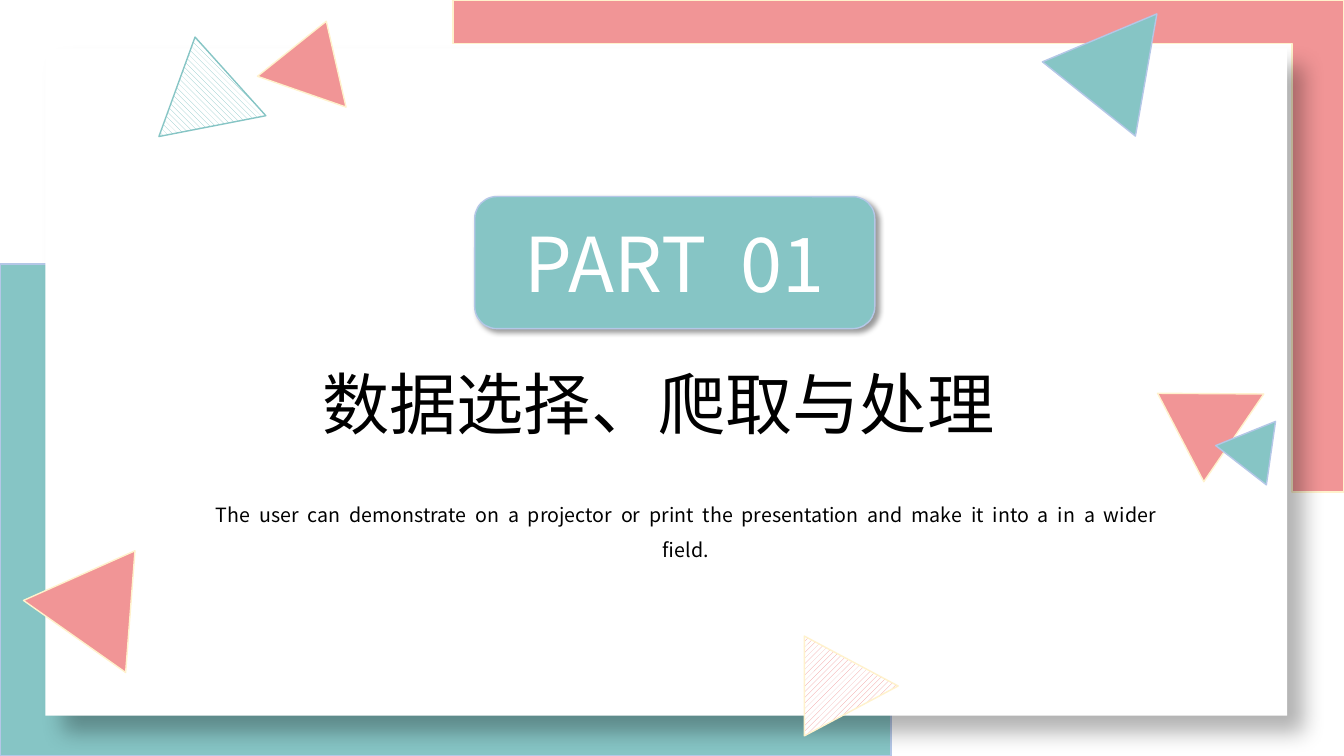
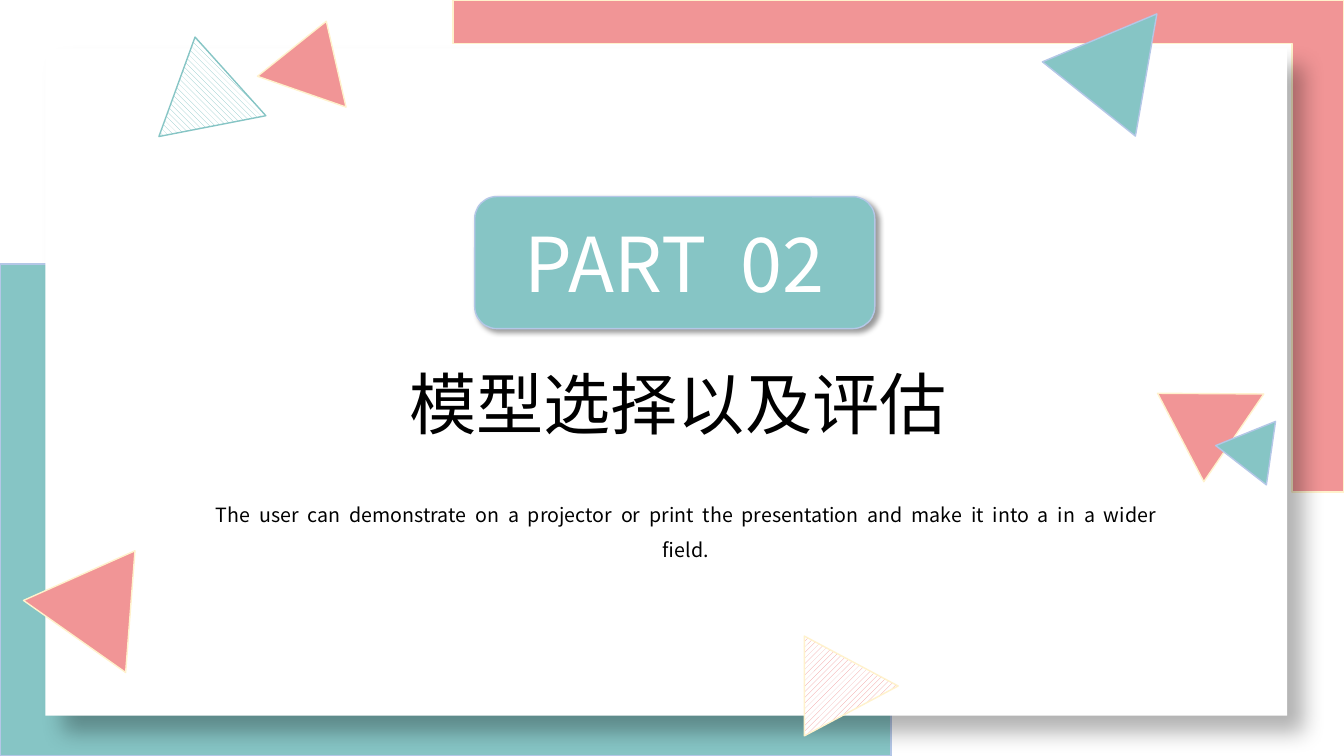
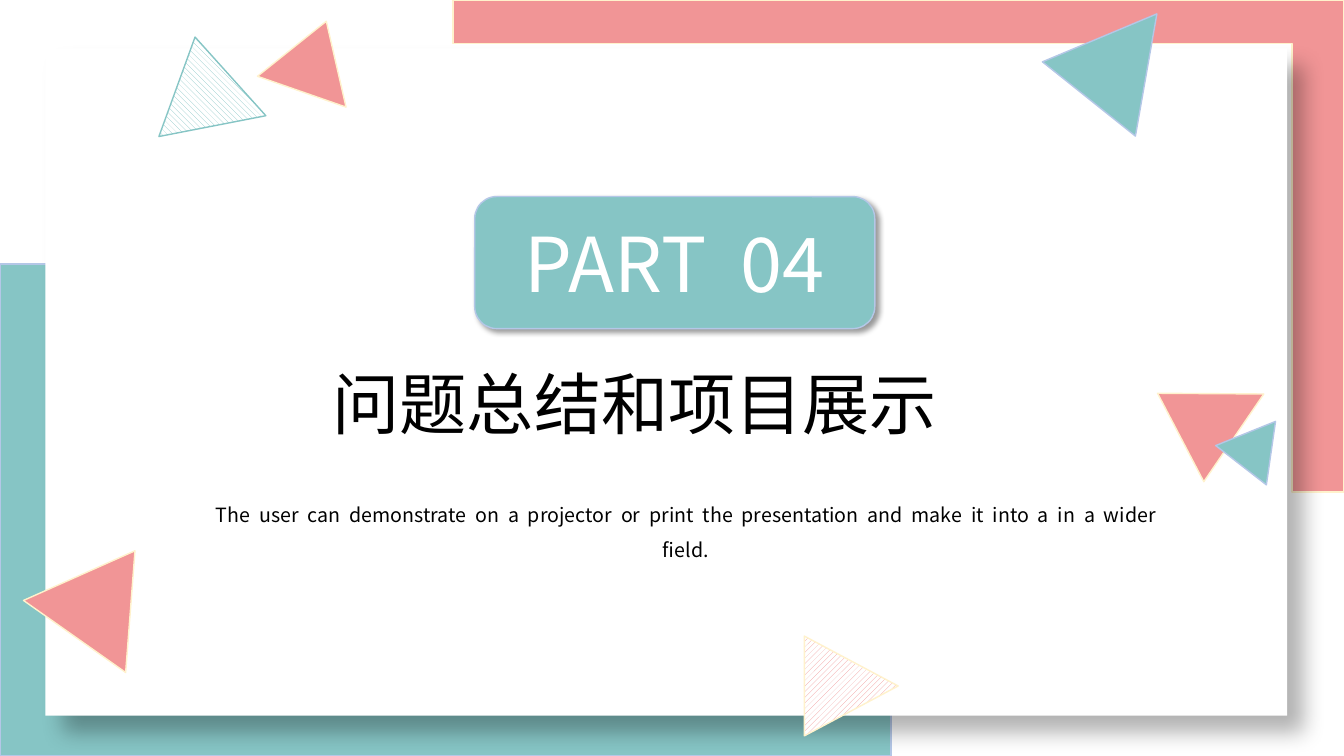
import lxml.etree
import pptx
import pptx.dml.color
import pptx.enum.dml
import pptx.enum.shapes
import pptx.enum.text
import pptx.oxml.ns
import pptx.util

Pt = pptx.util.Pt
qn = pptx.oxml.ns.qn
KIND = pptx.enum.shapes.MSO_SHAPE
ALIGN = pptx.enum.text.PP_ALIGN
DOWN = pptx.enum.dml.MSO_PATTERN.WIDE_DOWNWARD_DIAGONAL
UP = pptx.enum.dml.MSO_PATTERN.WIDE_UPWARD_DIAGONAL

FONT = "Noto Sans CJK SC"
SPACE = 0.224  # width of a space in this font, in ems
HEX = {"teal": "86C5C5", "pink": "F19596", "blue": "B4C7E7",
       "cream": "FFF2CC", "white": "FFFFFF", "black": "000000"}
RGB = {name: pptx.dml.color.RGBColor.from_string(code) for name, code in HEX.items()}
EDGE = {"teal": "blue", "pink": "cream"}

WIDE, HIGH = 960, 540
BAND_W, BAND_H = 636.5, 351.4
NOTE = ("The user can demonstrate on a projector or print the presentation "
        "and make it into a in a wider field.")

# Number, title, left and width of the title
PARTS = [
    ("01", "数据选择、爬取与处理", 223.2, 521.3),
    ("02", "模型选择以及评估", 285.1, 409.7),
    ("04", "问题总结和项目展示", 230.4, 498.2),
]

# Left, top, width, height, turn, colour, edge, pattern
PEAKS = [
    (106.6, 25.9, 77.8, 64.8, 349, "teal", "teal", DOWN),
    (190.8, 13.7, 67, 53.3, 19.2, "pink", "cream", None),
    (30.2, 386.6, 89.3, 74.9, 35.2, "pink", "cream", None),
    (759.6, 1.4, 85, 77.8, 38.6, "teal", "blue", None),
    (837.4, 263.5, 71.3, 67, 62.4, "pink", "cream", None),
    (874.1, 308.2, 46.1, 39.6, 158, "teal", "blue", None),
    (572.4, 456.5, 71.3, 67, 90, "pink", "cream", UP),
]


def draw(slide, kind, box, fill, edge=None, turn=0, weave=None, shade=None):
    """Add a shape; shade is the shadow's opacity in percent, blur and distance."""
    shape = slide.shapes.add_shape(kind, *map(Pt, box))
    shape.rotation = turn
    if weave is None:
        shape.fill.solid()
        shape.fill.fore_color.rgb = RGB[fill]
    else:
        shape.fill.patterned()
        shape.fill.pattern = weave
        shape.fill.fore_color.rgb = RGB[fill]
        shape.fill.back_color.rgb = RGB["white"]
    if edge:
        shape.line.color.rgb = RGB[edge]
        shape.line.width = Pt(1)
    else:
        shape.line.fill.background()
    shape.shadow.inherit = False
    if shade:
        alpha, blur, dist = shade
        glow = lxml.etree.SubElement(
            shape._element.spPr.find(qn("a:effectLst")), qn("a:outerShdw"),
            blurRad=str(Pt(blur)), dist=str(Pt(dist)), dir="2700000",
            algn="tl", rotWithShape="0")
        tone = lxml.etree.SubElement(glow, qn("a:srgbClr"), val=HEX["black"])
        lxml.etree.SubElement(tone, qn("a:alpha"), val=str(alpha * 1000))
    return shape


def write(shape, text, size, color="black", align=ALIGN.CENTER, lead=None):
    """Fill a shape with one paragraph whose word gaps are twice the usual width."""
    frame = shape.text_frame
    frame.word_wrap = True
    para = frame.paragraphs[0]
    para.alignment = align
    para.line_spacing = lead
    for piece in text.replace(" ", "| |").split("|"):
        run = para.add_run()
        run.text = piece
        run.font.size = Pt(size)
        run.font.name = FONT
        run.font.color.rgb = RGB[color]
        props = run._r.get_or_add_rPr()
        lxml.etree.SubElement(props, qn("a:ea"), typeface=FONT)
        if piece == " ":
            props.set("spc", str(round(size * SPACE * 100)))


deck = pptx.Presentation()
deck.slide_width, deck.slide_height = Pt(WIDE), Pt(HIGH)

for number, title, left, width in PARTS:
    slide = deck.slides.add_slide(deck.slide_layouts[6])

    for x, y, turn, fill in [(0, HIGH - BAND_H, 0, "teal"),
                             (WIDE - BAND_W, 0, 180, "pink")]:
        band = draw(slide, KIND.CORNER, (x, y, BAND_W, BAND_H), fill, EDGE[fill], turn)
        band.adjustments[0] = 0.088
        band.adjustments[1] = 0.106

    draw(slide, KIND.RECTANGLE, (32.4, 34.6, 887, 476.6), "white", shade=(30, 15, 18))

    for *box, turn, fill, edge, weave in PEAKS:
        draw(slide, KIND.FLOWCHART_EXTRACT, box, fill, edge, turn, weave)

    badge = draw(slide, KIND.ROUNDED_RECTANGLE, (339.1, 140.4, 285.8, 94.3),
                 "teal", "blue", shade=(40, 4, 3))
    badge.text_frame.vertical_anchor = pptx.enum.text.MSO_ANCHOR.MIDDLE
    write(badge, f"PART {number}", 54, "white")

    head = slide.shapes.add_textbox(Pt(left), Pt(255.6), Pt(width), Pt(65.5))
    write(head, title, 48, align=ALIGN.JUSTIFY)

    note = slide.shapes.add_textbox(Pt(141.8), Pt(347), Pt(696.2), Pt(55.4))
    write(note, NOTE, 14, lead=1.5)

deck.save("out.pptx")
